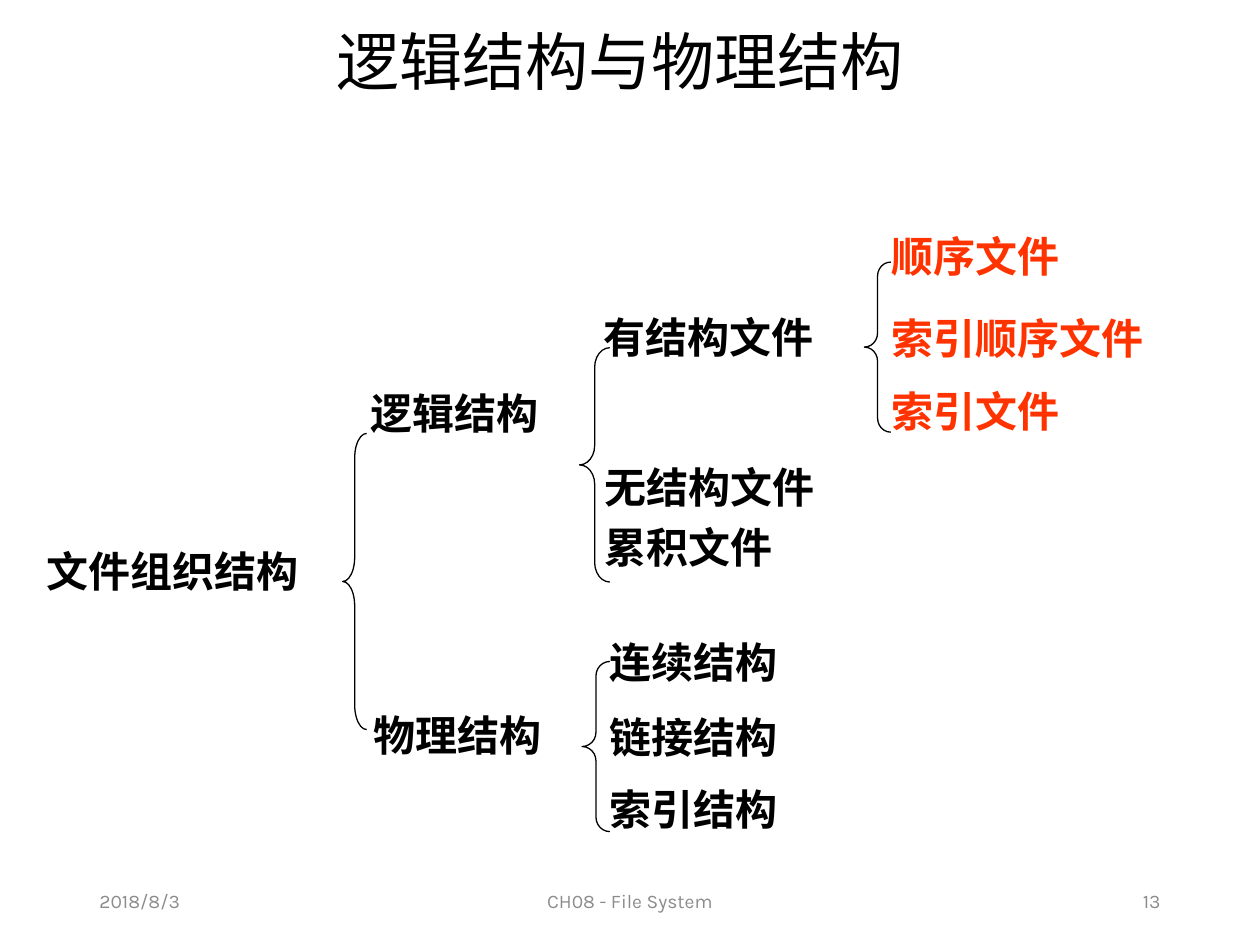
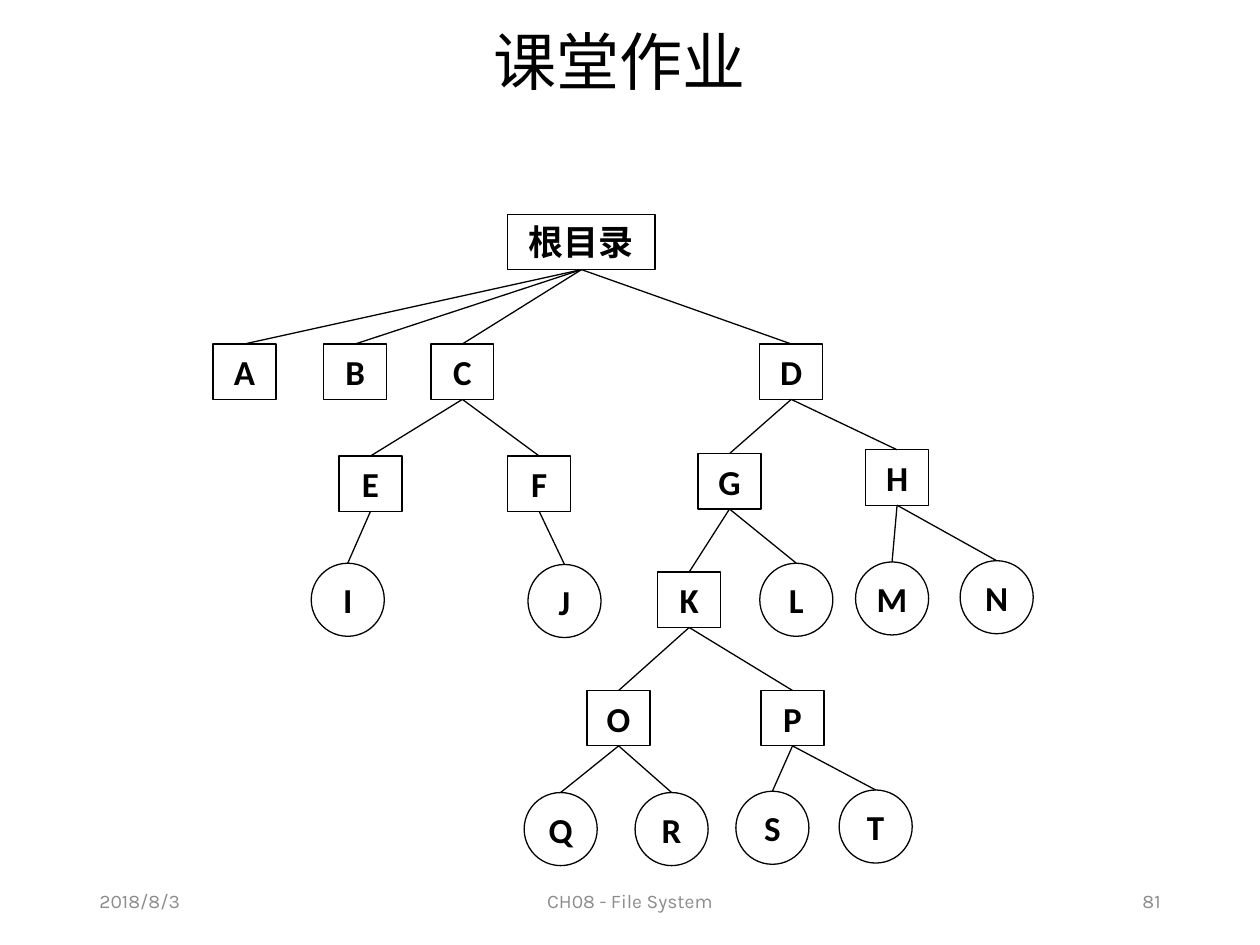
from lxml.etree import SubElement
from pptx import Presentation
from pptx.dml.color import RGBColor
from pptx.enum.shapes import MSO_CONNECTOR, MSO_SHAPE
from pptx.enum.text import MSO_ANCHOR, PP_ALIGN
from pptx.oxml.ns import qn
from pptx.util import Pt

PX = 9144
BLACK, RED, GREY = "000000", "FF3300", "8C8C8C"
CJK, LATIN, FOOTER = "Noto Sans CJK SC", "Calibri", "Karla"
LEFT, CENTER, RIGHT = PP_ALIGN.LEFT, PP_ALIGN.CENTER, PP_ALIGN.RIGHT

LABELS = [
    (27, 428, 268, "文件组织结构", BLACK),
    (284, 303, 184, "逻辑结构", BLACK),
    (287, 558, 184, "物理结构", BLACK),
    (469, 242, 220, "有结构文件", BLACK),
    (470, 361, 220, "无结构文件\n累积文件", BLACK),
    (698, 178, 184, "顺序文件", RED),
    (698, 243, 267, "索引顺序文件", RED),
    (698, 301, 184, "索引文件", RED),
    (474, 500, 184, "连续结构", BLACK),
    (474, 560, 184, "链接结构", BLACK),
    (474, 617, 184, "索引结构", BLACK),
]
BRACES = [
    (272, 344, 19, 235, 1.02),
    (686, 208, 21, 135, 0.53),
    (460, 276, 24, 186, 0.64),
    (462, 525, 22, 135, 0.52),
]
ROOT = "根目录"
FOLDERS = {
    "A": (169, 273), "B": (257, 273), "C": (342, 273), "D": (603, 273),
    "E": (269, 362), "F": (403, 362), "G": (554, 360), "H": (687, 357),
    "K": (522, 454), "O": (466, 548), "P": (604, 548),
}
FILES = {
    "I": (247, 447), "J": (419, 448), "L": (603, 447), "M": (679, 446),
    "N": (762, 445), "Q": (416, 629), "R": (504, 629), "S": (584, 628),
    "T": (666, 627),
}
CHILDREN = {ROOT: "ABCD", "C": "EF", "D": "GH", "E": "I", "F": "J",
            "G": "KL", "H": "MN", "K": "OP", "O": "QR", "P": "ST"}


def rgb(color):
    return RGBColor.from_string(color)


def px(*lengths):
    return [n * PX for n in lengths]


class Deck:
    """Holds the shared style and the current slide."""

    def __init__(self):
        self.prs = Presentation()
        self.prs.slide_width, self.prs.slide_height = px(1000, 750)

    def slide(self, title, number):
        self.s = self.prs.slides.add_slide(self.prs.slide_layouts[6])
        tf = self.text(61, 14, 862, 76, title, 36, align=CENTER)
        tf.paragraphs[0].line_spacing = 0.9
        for x, w, text, align in [(69, 225, "2018/8/3", LEFT),
                                  (331, 338, "CH08 - File System", CENTER),
                                  (706, 225, number, RIGHT)]:
            self.text(x, 695, w, 40, text, 11, GREY, FOOTER, align)

    def format(self, tf, text, size, color, font, align, bold, anchor):
        tf.text = text
        tf.vertical_anchor = anchor
        for i, p in enumerate(tf.paragraphs):
            p.alignment = align
            if i:
                p.space_before = Pt(size / 4)
            for r in p.runs:
                r.font.size, r.font.bold, r.font.name = Pt(size), bold, font
                r.font.color.rgb = rgb(color)
                SubElement(r.font._element, qn("a:ea"), typeface=CJK)

    def text(self, x, y, w, h, text, size, color=BLACK, font=CJK,
             align=LEFT, bold=False, anchor=MSO_ANCHOR.MIDDLE):
        tf = self.s.shapes.add_textbox(*px(x, y, w, h)).text_frame
        tf.word_wrap = True
        self.format(tf, text, size, color, font, align, bold, anchor)
        return tf

    def label(self, x, y, w, text, color):
        h = 51 + 60 * text.count("\n")
        self.text(x, y, w, h, text, 24, color, bold=True, anchor=MSO_ANCHOR.TOP)

    def outline(self, kind, x, y, w, h):
        sp = self.s.shapes.add_shape(kind, *px(x, y, w, h))
        sp.shadow.inherit = False
        sp.fill.background()
        sp.line.color.rgb = rgb(BLACK)
        sp.line.width = Pt(0.75)
        return sp

    def brace(self, x, y, w, h, curl):
        sp = self.outline(MSO_SHAPE.LEFT_BRACE, x, y, w, h)
        sp.adjustments[0] = curl

    def node(self, kind, x, y, w, h, text):
        sp = self.outline(kind, x, y, w, h)
        sp.text_frame.word_wrap = False
        self.format(sp.text_frame, text, 20, BLACK, LATIN, CENTER, True,
                    MSO_ANCHOR.MIDDLE)
        return sp

    def link(self, parent, child):
        c = self.s.shapes.add_connector(MSO_CONNECTOR.STRAIGHT, 0, 0, 0, 0)
        c.begin_connect(parent, 2)
        c.end_connect(child, 0)
        c.line.color.rgb = rgb(BLACK)
        c.line.width = Pt(0.75)
        SubElement(c._element.spPr, qn("a:effectLst"))


def main():
    deck = Deck()

    deck.slide("逻辑结构与物理结构", "13")
    for label in LABELS:
        deck.label(*label)
    for brace in BRACES:
        deck.brace(*brace)

    deck.slide("课堂作业", "81")
    rect, oval = MSO_SHAPE.RECTANGLE, MSO_SHAPE.OVAL
    nodes = {ROOT: deck.node(rect, 403, 170, 117, 44, ROOT)}
    for name, (x, y) in FOLDERS.items():
        nodes[name] = deck.node(rect, x, y, 50, 44, name)
    for name, (x, y) in FILES.items():
        nodes[name] = deck.node(oval, x, y, 58, 58, name)
    for parent, children in CHILDREN.items():
        for child in children:
            deck.link(nodes[parent], nodes[child])

    deck.prs.save("out.pptx")


if __name__ == "__main__":
    main()
